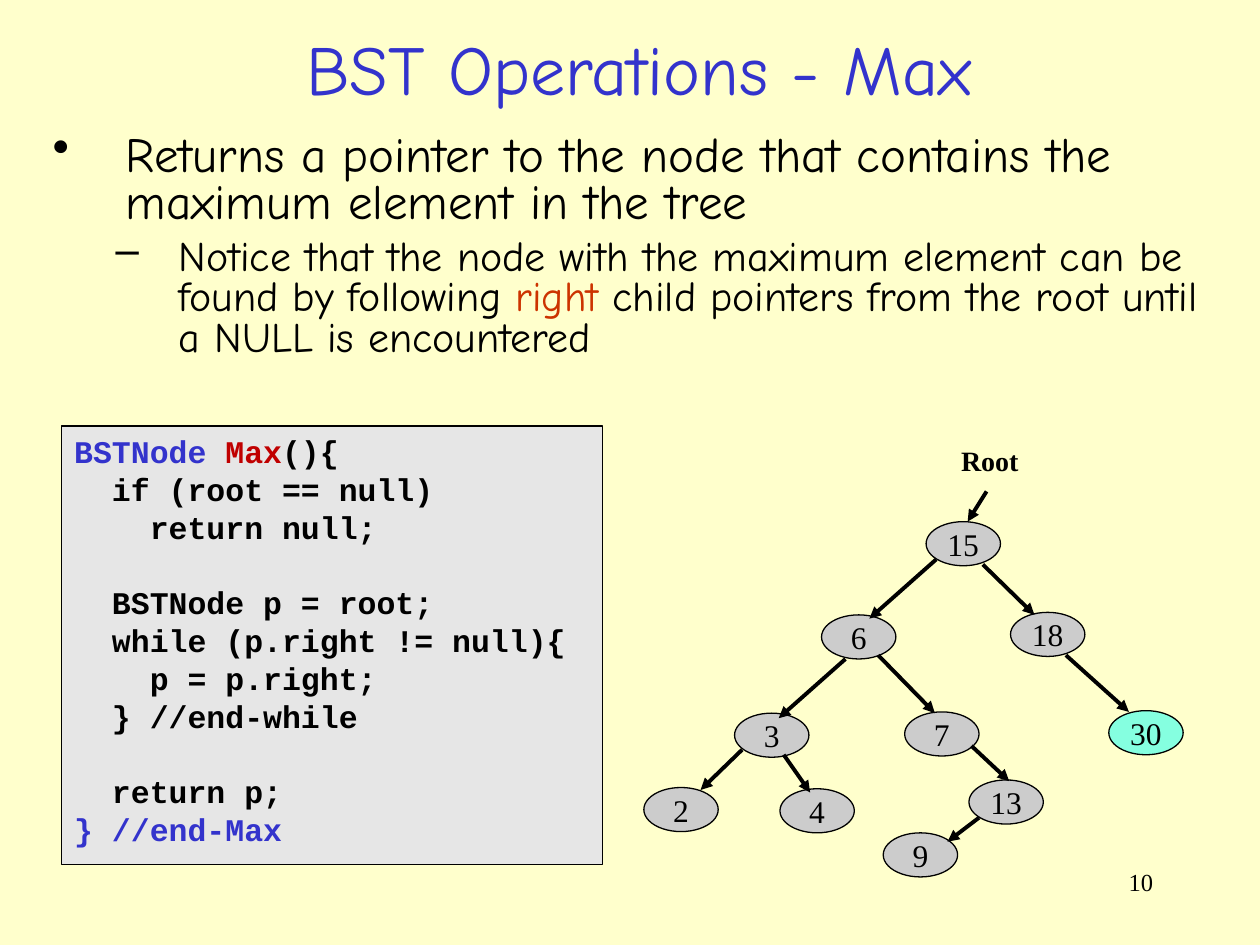
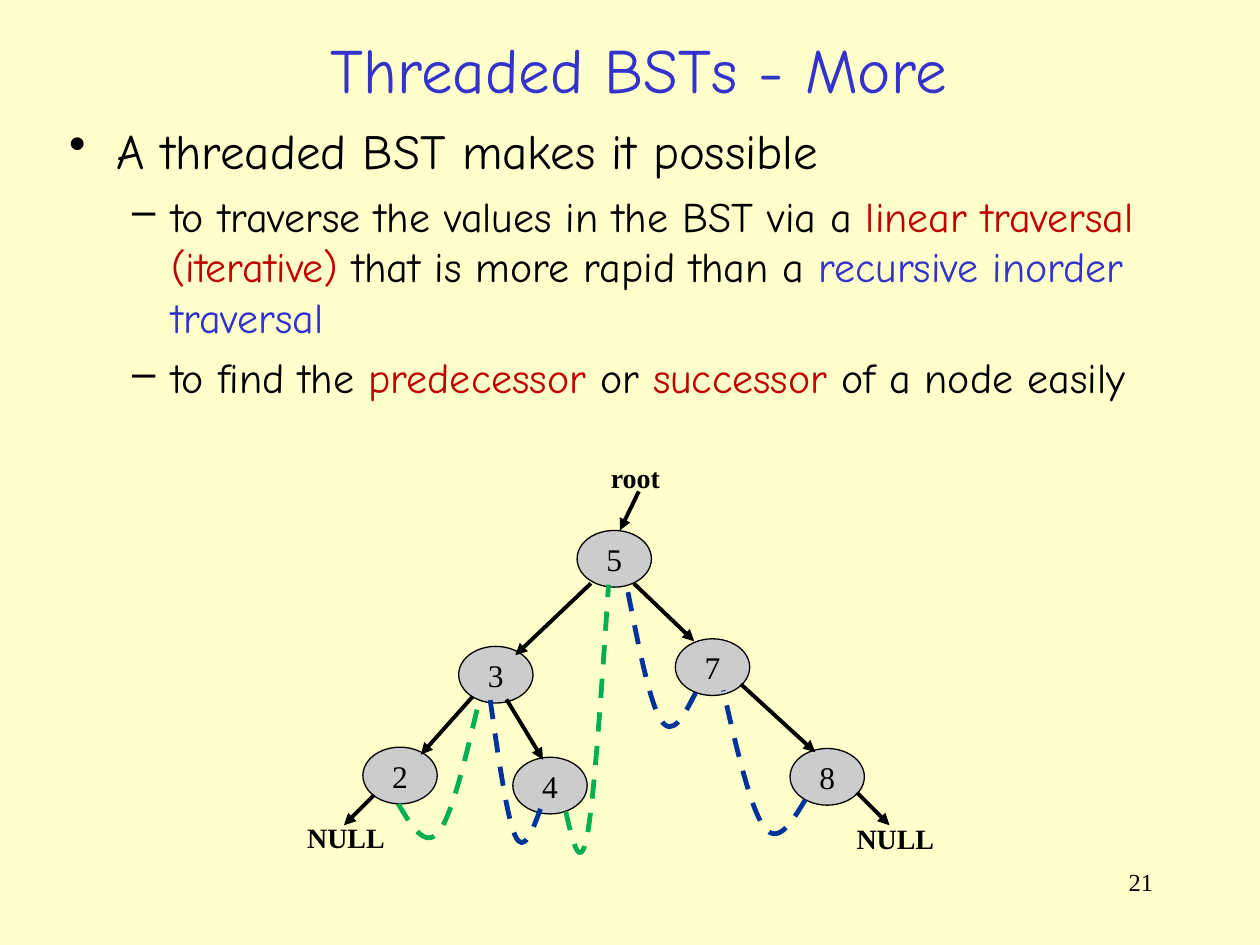
from lxml import etree
from pptx import Presentation
from pptx.dml.color import RGBColor
from pptx.enum.dml import MSO_LINE_DASH_STYLE as DASH
from pptx.enum.shapes import MSO_CONNECTOR as CONNECTOR, MSO_SHAPE as SHAPE
from pptx.enum.text import MSO_ANCHOR as ANCHOR, MSO_AUTO_SIZE as AUTO_SIZE, PP_ALIGN as ALIGN
from pptx.oxml.ns import qn
from pptx.util import Inches, Pt

# Shared colours and fonts
CREAM = RGBColor(0xFF, 0xFF, 0xCC)
BLACK = RGBColor(0x00, 0x00, 0x00)
BLUE = RGBColor(0x33, 0x33, 0xCC)
RED = RGBColor(0xC0, 0x00, 0x00)
ORANGE_RED = RGBColor(0xCC, 0x33, 0x00)
NODE_GREY = RGBColor(0xCC, 0xCC, 0xCC)
CODE_GREY = RGBColor(0xE6, 0xE6, 0xE6)
AQUA = RGBColor(0x85, 0xFF, 0xE0)
GREEN = RGBColor(0x00, 0xB0, 0x50)
NAVY = RGBColor(0x00, 0x33, 0x99)

HAND, CODE, SERIF = "Comic Neue", "Courier New", "Times New Roman"
NODE_WIDTH = 0.59
BULLETS = {0: ("•", 28, 7), 1: ("–", 24, 6)}  # level: mark, size, space before


def inches(*lengths):
    return [Inches(length) for length in lengths]


def set_font(para, name, size, color=BLACK, bold=False):
    font = para.font
    font.name, font.size, font.bold = name, Pt(size), bold
    font.color.rgb = color


def add_spans(para, spans):
    """Each span is plain text or a (text, color) pair."""
    for span in spans:
        text, color = (span, None) if isinstance(span, str) else span
        run = para.add_run()
        run.text = text
        if color is not None:
            run.font.color.rgb = color


def add_page(deck, title, title_size, number):
    page = deck.slides.add_slide(deck.slide_layouts[5])
    holder = page.shapes.title
    holder.left, holder.top, holder.width, holder.height = inches(0.3, 0.16, 9.54, 0.76)
    frame = holder.text_frame
    frame.text = title
    frame.vertical_anchor = ANCHOR.MIDDLE
    frame.auto_size = AUTO_SIZE.NONE
    para = frame.paragraphs[0]
    para.alignment = ALIGN.CENTER
    set_font(para, HAND, title_size, BLUE)

    # Page number
    box = page.shapes.add_textbox(*inches(7.17, 6.83, 2.08, 0.5))
    box.text_frame.word_wrap = True
    para = box.text_frame.paragraphs[0]
    para.text = number
    para.alignment = ALIGN.RIGHT
    set_font(para, SERIF, 14)
    return page


def add_bullet(para, mark, margin, hanging):
    props = para._p.get_or_add_pPr()
    props.set("marL", str(Inches(margin)))
    props.set("indent", str(-Inches(hanging)))
    color = etree.SubElement(props, qn("a:buClr"))
    etree.SubElement(color, qn("a:srgbClr"), val=str(BLACK))
    etree.SubElement(props, qn("a:buChar"), char=mark)


def add_body(page, place, indents, items, line_spacing=1.0):
    """Items are (level, spans); indents give margin and hanging for each level."""
    frame = page.shapes.add_textbox(*inches(*place)).text_frame
    frame.word_wrap = True
    for index, (level, spans) in enumerate(items):
        para = frame.add_paragraph() if index else frame.paragraphs[0]
        mark, size, space = BULLETS[level]
        para.level = level
        add_bullet(para, mark, *indents[level])
        para.line_spacing = line_spacing
        para.space_before = Pt(space if index else 0)
        set_font(para, HAND, size)
        add_spans(para, spans)


def add_outlined(page, kind, place, fill):
    shape = page.shapes.add_shape(kind, *inches(*place))
    shape.shadow.inherit = False
    shape.fill.solid()
    shape.fill.fore_color.rgb = fill
    shape.line.color.rgb = BLACK
    shape.line.width = Pt(0.75)
    return shape


def add_code(page, place, lines):
    frame = add_outlined(page, SHAPE.RECTANGLE, place, CODE_GREY).text_frame
    frame.word_wrap = True
    frame.vertical_anchor = ANCHOR.TOP
    for index, spans in enumerate(lines):
        para = frame.add_paragraph() if index else frame.paragraphs[0]
        para.alignment = ALIGN.LEFT
        set_font(para, CODE, 18, bold=True)
        add_spans(para, spans)


def add_node(page, key, left, top, height, fill=NODE_GREY):
    node = add_outlined(page, SHAPE.OVAL, (left, top, NODE_WIDTH, height), fill)
    frame = node.text_frame
    frame.word_wrap = False
    frame.vertical_anchor = ANCHOR.MIDDLE
    para = frame.paragraphs[0]
    para.text = key
    para.alignment = ALIGN.CENTER
    set_font(para, SERIF, 18)


def add_label(page, text, left, top, width):
    frame = page.shapes.add_textbox(*inches(left, top, width, 0.37)).text_frame
    frame.word_wrap = False
    para = frame.paragraphs[0]
    para.text = text
    set_font(para, SERIF, 16, bold=True)


def add_arrow(page, *ends):
    arrow = page.shapes.add_connector(CONNECTOR.STRAIGHT, *inches(*ends))
    arrow.line.color.rgb = BLACK
    arrow.line.width = Pt(2.25)
    etree.SubElement(arrow.line._get_or_add_ln(), qn("a:tailEnd"), type="triangle")
    etree.SubElement(arrow._element.spPr, qn("a:effectLst"))


def bend(outline):
    """Turn every three straight steps of a freeform into one cubic curve."""
    steps = list(outline._element.iter(qn("a:lnTo")))
    for first in range(0, len(steps), 3):
        curve = etree.SubElement(steps[first].getparent(), qn("a:cubicBezTo"))
        for step in steps[first:first + 3]:
            curve.append(step[0])
            step.getparent().remove(step)


def add_thread(page, color, x1, y1, x2, y2, dip=0.36):
    """Dashed curve that sinks below its start and then climbs to its end."""
    rise = y2 - y1
    turn = dip + rise / 3
    drops = (0, dip / 2, dip, dip + rise / 6, turn, (turn + rise) / 2, rise)
    start, *controls = [inches(x1 + (x2 - x1) * i / 6, y1 + drop)
                        for i, drop in enumerate(drops)]
    builder = page.shapes.build_freeform(*start)
    builder.add_line_segments(controls, close=False)
    thread = builder.convert_to_shape()
    bend(thread)
    thread.shadow.inherit = False
    thread.fill.background()
    thread.line.color.rgb = color
    thread.line.width = Pt(2.75)
    thread.line.dash_style = DASH.DASH


def add_tree(page, node_height, nodes, arrows, labels):
    for key, left, top, *fill in nodes:
        add_node(page, key, left, top, node_height, *fill)
    for ends in arrows:
        add_arrow(page, *ends)
    for label in labels:
        add_label(page, *label)


def build_max_page(deck):
    page = add_page(deck, "BST Operations - Max", 40, "10")
    add_body(page, (0.32, 1.02, 9.41, 1.95), [(0.58, 0.58), (1, 0.5)], [
        (0, ["Returns a pointer to the node that contains the maximum element in the tree"]),
        (1, ["Notice that the node with the maximum element can be found by following ",
             ("right ", ORANGE_RED),
             "child pointers from the root until a NULL is encountered"]),
    ], line_spacing=0.8)
    add_code(page, (0.49, 3.38, 4.29, 3.48), [
        [("BSTNode ", BLUE), ("Max", RED), "(){"],
        ["  if (root == null)"],
        ["    return null;"],
        [""],
        ["  BSTNode p = root;"],
        ["  while (p.right != null){"],
        ["    p = p.right;"],
        ["  } //end-while"],
        [""],
        ["  return p;"],
        [("} //end-Max", BLUE)],
    ])
    add_tree(
        page, 0.35,
        nodes=[("15", 7.35, 4.14), ("6", 6.52, 4.88), ("18", 8.02, 4.86),
               ("30", 8.8, 5.64, AQUA), ("3", 5.83, 5.66), ("7", 7.18, 5.65),
               ("2", 5.11, 6.25), ("4", 6.19, 6.26), ("13", 7.69, 6.19),
               ("9", 7.01, 6.61)],
        arrows=[(7.83, 3.9, 7.68, 4.14), (7.43, 4.44, 6.9, 4.91),
                (7.8, 4.48, 8.21, 4.88), (8.46, 5.2, 8.96, 5.65),
                (6.71, 5.23, 6.18, 5.7), (6.97, 5.2, 7.42, 5.66),
                (5.89, 5.95, 5.56, 6.27), (6.22, 5.99, 6.43, 6.29),
                (7.71, 5.92, 8.01, 6.2), (7.77, 6.49, 7.52, 6.68)],
        labels=[("Root", 7.53, 3.47, 0.67)],
    )


def build_threaded_page(deck):
    page = add_page(deck, "Threaded BSTs - More", 36, "21")
    add_body(page, (0.45, 0.91, 9.22, 2.99), [(0.38, 0.38), (0.81, 0.31)], [
        (0, ["A threaded BST makes it possible"]),
        (1, ["to traverse the values in the BST via a ",
             ("linear traversal (iterative) ", RED),
             "that is more rapid than a ",
             ("recursive inorder traversal", BLUE)]),
        (1, ["to find the ", ("predecessor", RED), " or ", ("successor", RED),
             " of a node easily"]),
    ])
    add_tree(
        page, 0.45,
        nodes=[("5", 4.58, 4.21), ("3", 3.64, 5.13), ("7", 5.36, 5.07),
               ("8", 6.27, 5.94), ("2", 2.88, 5.93), ("4", 4.07, 6.01)],
        arrows=[(5.07, 3.9, 4.92, 4.21), (4.69, 4.63, 4.09, 5.2),
                (5.03, 4.63, 5.51, 5.09), (5.88, 5.43, 6.47, 5.97),
                (3.75, 5.53, 3.34, 5.99), (4.02, 5.55, 4.31, 6.03),
                (2.97, 6.31, 2.73, 6.55), (6.8, 6.29, 7.06, 6.55)],
        labels=[("root", 4.75, 3.61, 0.61), ("NULL", 2.34, 6.46, 0.83),
                ("NULL", 6.7, 6.47, 0.83)],
    )
    # Threads: green to the successor, navy to the predecessor
    add_thread(page, GREEN, 3.16, 6.38, 3.81, 5.53)
    add_thread(page, NAVY, 4.29, 6.42, 3.89, 5.55)
    add_thread(page, GREEN, 4.49, 6.44, 4.83, 4.64, dip=0.49)
    add_thread(page, NAVY, 5.52, 5.5, 4.97, 4.63)
    add_thread(page, NAVY, 6.39, 6.35, 5.74, 5.48)


def main():
    deck = Presentation()
    deck.slide_width, deck.slide_height = inches(10, 7.5)
    background = deck.slide_master.background.fill
    background.solid()
    background.fore_color.rgb = CREAM
    build_max_page(deck)
    build_threaded_page(deck)
    deck.save("out.pptx")


if __name__ == "__main__":
    main()
